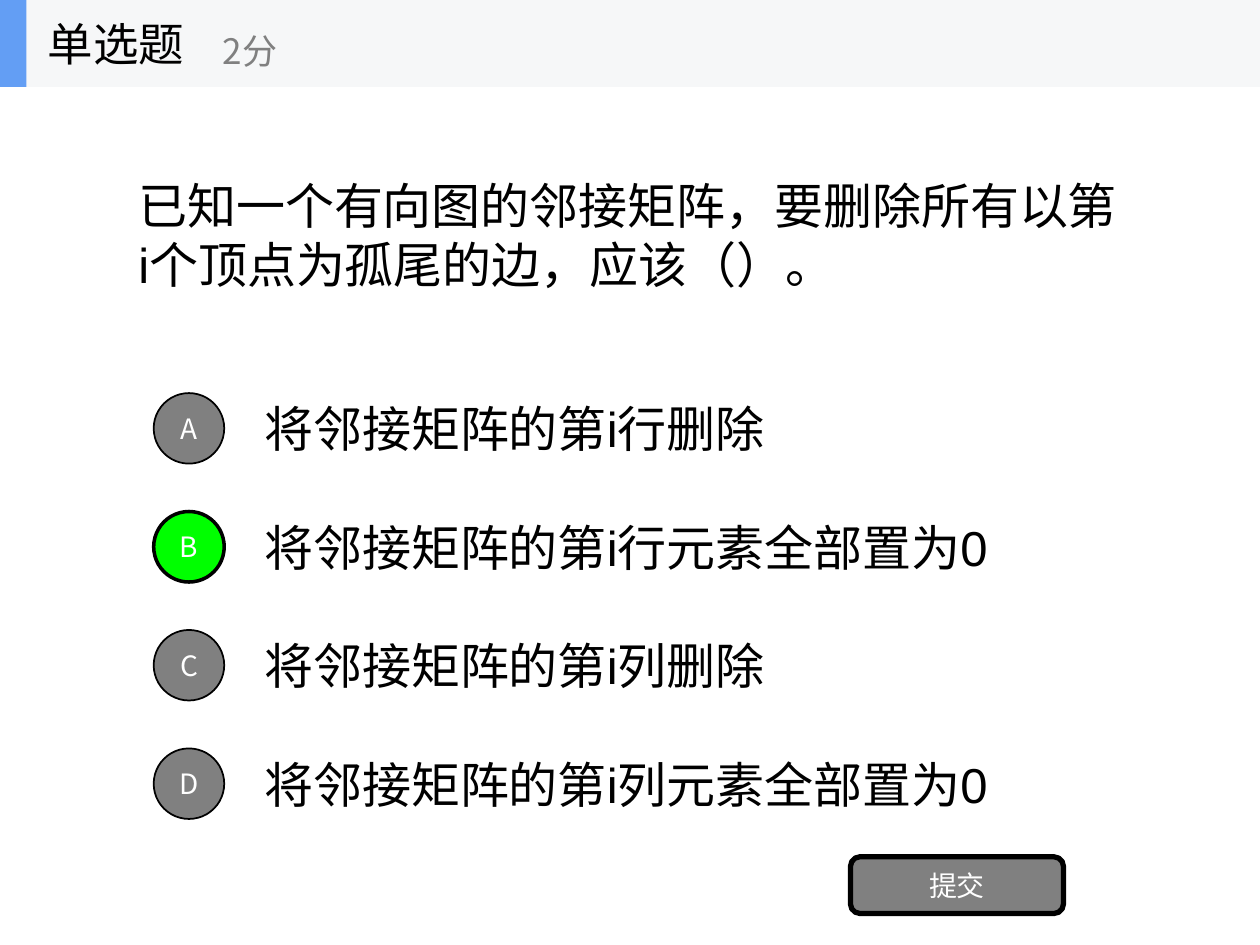
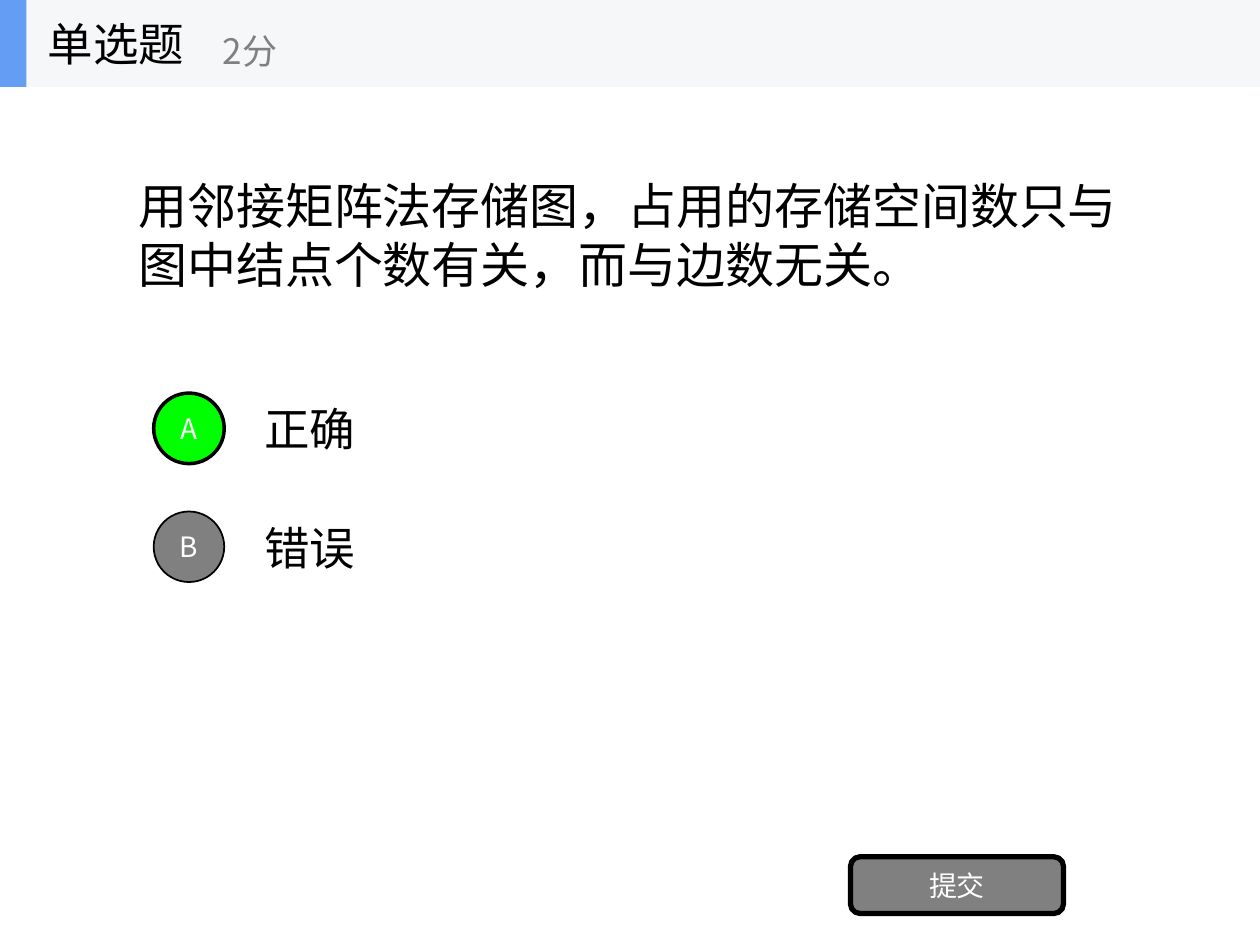
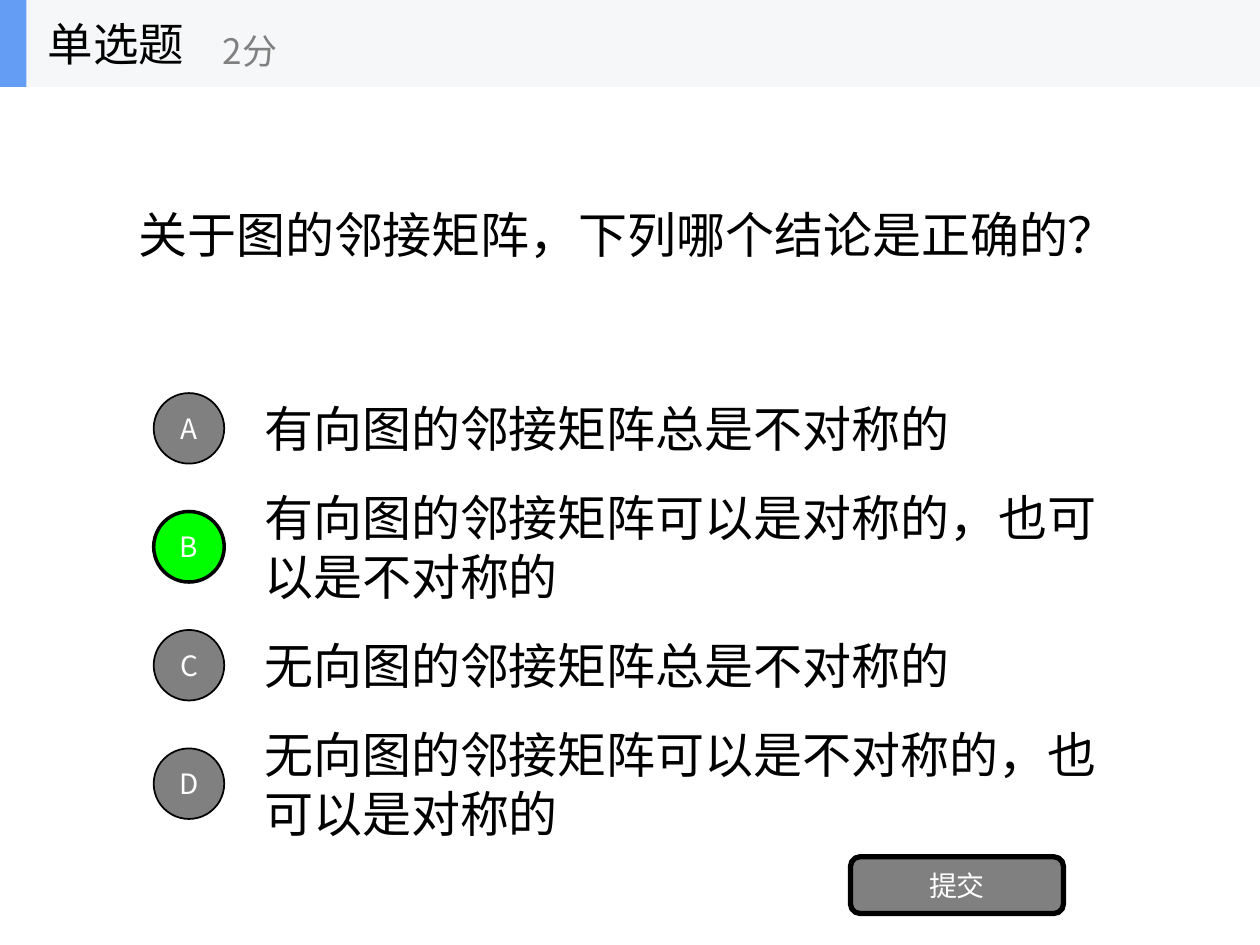
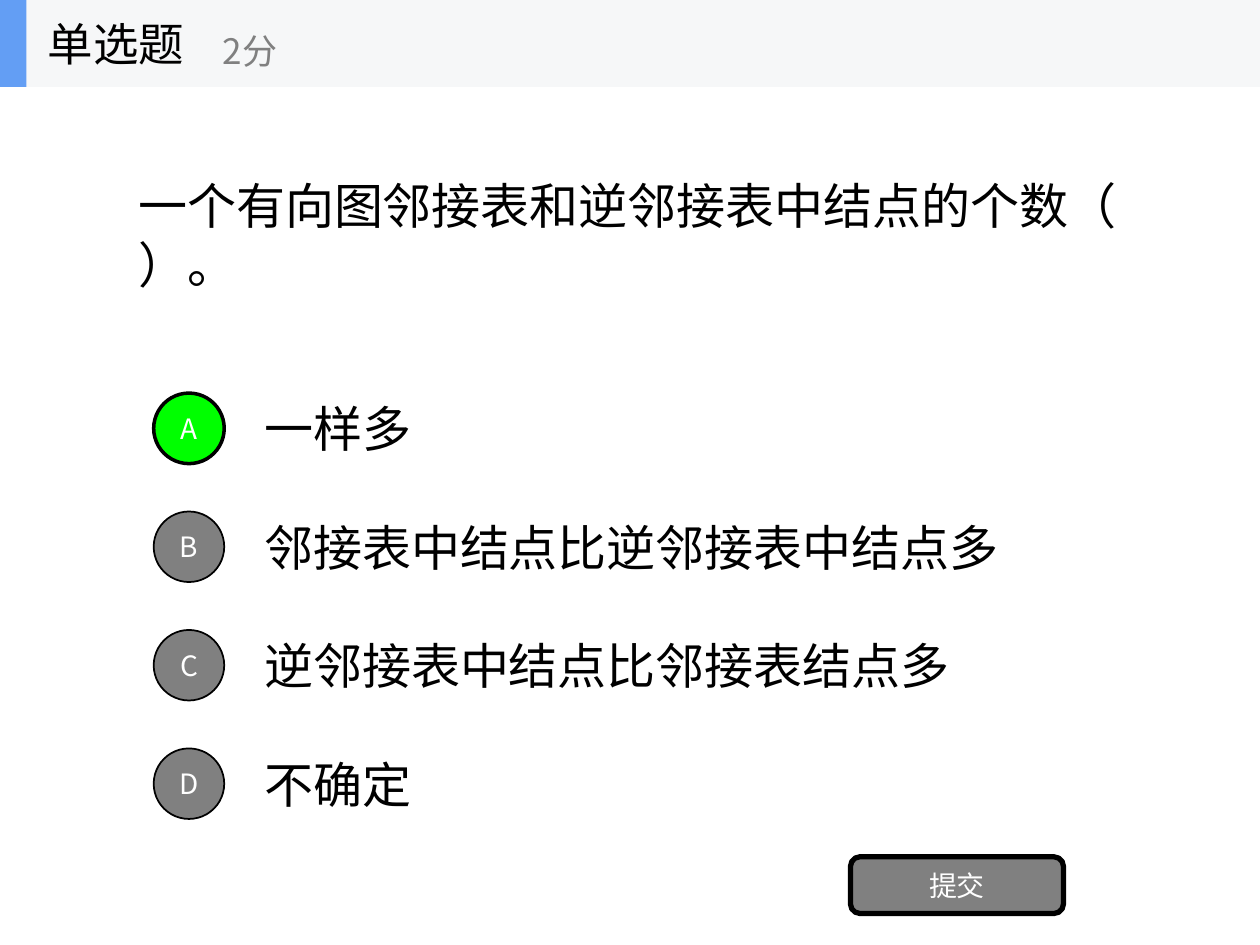
from lxml import etree
from pptx import Presentation
from pptx.dml.color import RGBColor
from pptx.enum.shapes import MSO_SHAPE as SHAPE
from pptx.enum.text import MSO_ANCHOR as ANCHOR, PP_ALIGN as ALIGN
from pptx.oxml.ns import qn
from pptx.util import Inches, Pt

BLACK = RGBColor(0x00, 0x00, 0x00)
WHITE = RGBColor(0xFF, 0xFF, 0xFF)
GRAY = RGBColor(0x80, 0x80, 0x80)
GREEN = RGBColor(0x00, 0xFF, 0x00)
BLUE = RGBColor(0x63, 0x9E, 0xF4)
BAND = RGBColor(0xF6, 0xF7, 0xF8)

LATIN = "Arial"
CJK = "Noto Sans CJK SC"

BAND_H = 0.69
OPTION_TOP = 3.05
OPTION_STEP = 0.94
OPTION_H = 0.7
BADGE = 0.56

QUESTIONS = [
    ("已知一个有向图的邻接矩阵，要删除所有以第i个顶点为孤尾的边，应该（）。",
     ["将邻接矩阵的第i行删除",
      "将邻接矩阵的第i行元素全部置为0",
      "将邻接矩阵的第i列删除",
      "将邻接矩阵的第i列元素全部置为0"],
     "B", 28, LATIN),
    ("用邻接矩阵法存储图，占用的存储空间数只与图中结点个数有关，而与边数无关。",
     ["正确", "错误"],
     "A", 26, CJK),
    ("关于图的邻接矩阵，下列哪个结论是正确的？",
     ["有向图的邻接矩阵总是不对称的",
      "有向图的邻接矩阵可以是对称的，也可以是不对称的",
      "无向图的邻接矩阵总是不对称的",
      "无向图的邻接矩阵可以是不对称的，也可以是对称的"],
     "B", 28, LATIN),
    ("一个有向图邻接表和逆邻接表中结点的个数（ ）。",
     ["一样多",
      "邻接表中结点比逆邻接表中结点多",
      "逆邻接表中结点比邻接表结点多",
      "不确定"],
     "A", 28, LATIN),
]


def write(sp, text, size, color, font=CJK, align=ALIGN.LEFT):
    """Write one vertically centred run into a shape."""
    tf = sp.text_frame
    tf.word_wrap = True
    tf.vertical_anchor = ANCHOR.MIDDLE
    p = tf.paragraphs[0]
    p.alignment = align
    r = p.add_run()
    r.text = text
    r.font.size = Pt(size)
    r.font.name = font
    r.font.color.rgb = color
    etree.SubElement(r.font._element, qn("a:ea")).set("typeface", CJK)


def add_text(shapes, box, text, size, color=BLACK, font=CJK):
    """Add a left-aligned text box."""
    sp = shapes.add_textbox(*map(Inches, box))
    write(sp, text, size, color, font)


def add_block(shapes, kind, box, fill, line_width=0):
    """Add a flat filled shape, outlined in black when a width is given."""
    sp = shapes.add_shape(kind, *map(Inches, box))
    sp.shadow.inherit = False
    sp.fill.solid()
    sp.fill.fore_color.rgb = fill
    if line_width:
        sp.line.color.rgb = BLACK
        sp.line.width = Pt(line_width)
    else:
        sp.line.fill.background()
    return sp


def add_button(shapes, kind, box, fill, line_width, label):
    """Add an outlined shape with a centred white label."""
    sp = add_block(shapes, kind, box, fill, line_width)
    tf = sp.text_frame
    tf.margin_left = tf.margin_right = tf.margin_top = tf.margin_bottom = 0
    write(sp, label, 16, WHITE, align=ALIGN.CENTER)


def add_options(shapes, options, answer, size, font):
    """Add the option texts and their lettered badges."""
    tops = [OPTION_TOP + i * OPTION_STEP for i in range(len(options))]
    for top, option in zip(tops, options):
        add_text(shapes, (2, top, 7, OPTION_H), option, size, font=font)
    for top, letter in zip(tops, "ABCD"):
        fill, line_width = (GREEN, 2) if letter == answer else (GRAY, 1)
        box = (1.22, top + (OPTION_H - BADGE) / 2, BADGE, BADGE)
        add_button(shapes, SHAPE.OVAL, box, fill, line_width, letter)


def add_header(shapes):
    """Add the grouped header band with question type and score."""
    group = shapes.add_group_shape().shapes
    add_block(group, SHAPE.RECTANGLE, (0, 0, 10, BAND_H), BAND)
    add_block(group, SHAPE.RECTANGLE, (0, 0, 0.21, BAND_H), BLUE)
    add_text(group, (0.28, 0, 2.08, BAND_H), "单选题", 26)
    add_text(group, (1.67, 0.12, 2.5, 0.56), "2分", 20, GRAY)


def add_question(prs, question, options, answer, size, font):
    """Add one single-choice question slide."""
    s = prs.slides.add_slide(prs.slide_layouts[6])
    add_text(s.shapes, (1, BAND_H, 8, 2.34), question, 28, font=LATIN)
    add_options(s.shapes, options, answer, size, font)
    add_button(s.shapes, SHAPE.ROUNDED_RECTANGLE, (6.75, 6.8, 1.69, 0.45), GRAY, 3, "提交")
    add_header(s.shapes)


def main():
    """Build the quiz deck."""
    prs = Presentation()
    prs.slide_width = Inches(10)
    prs.slide_height = Inches(7.5)
    for question in QUESTIONS:
        add_question(prs, *question)
    prs.save("out.pptx")


if __name__ == "__main__":
    main()
